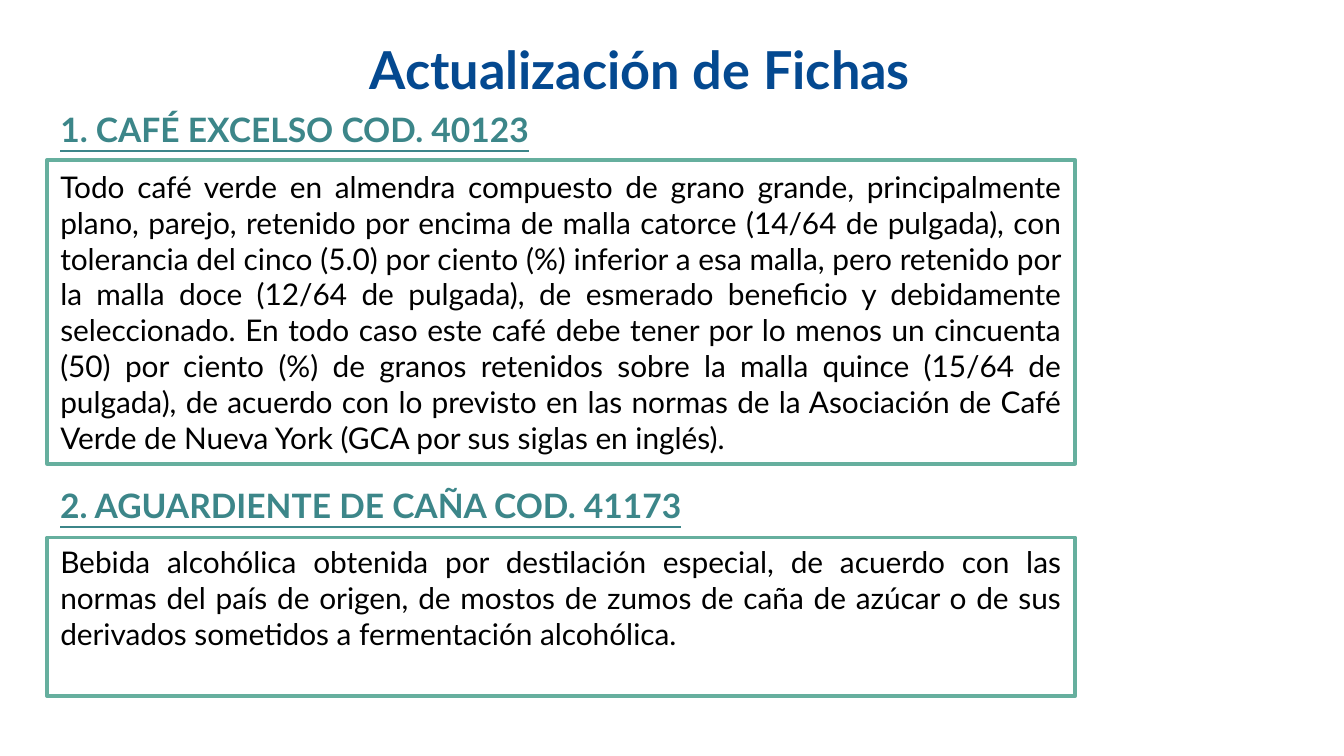
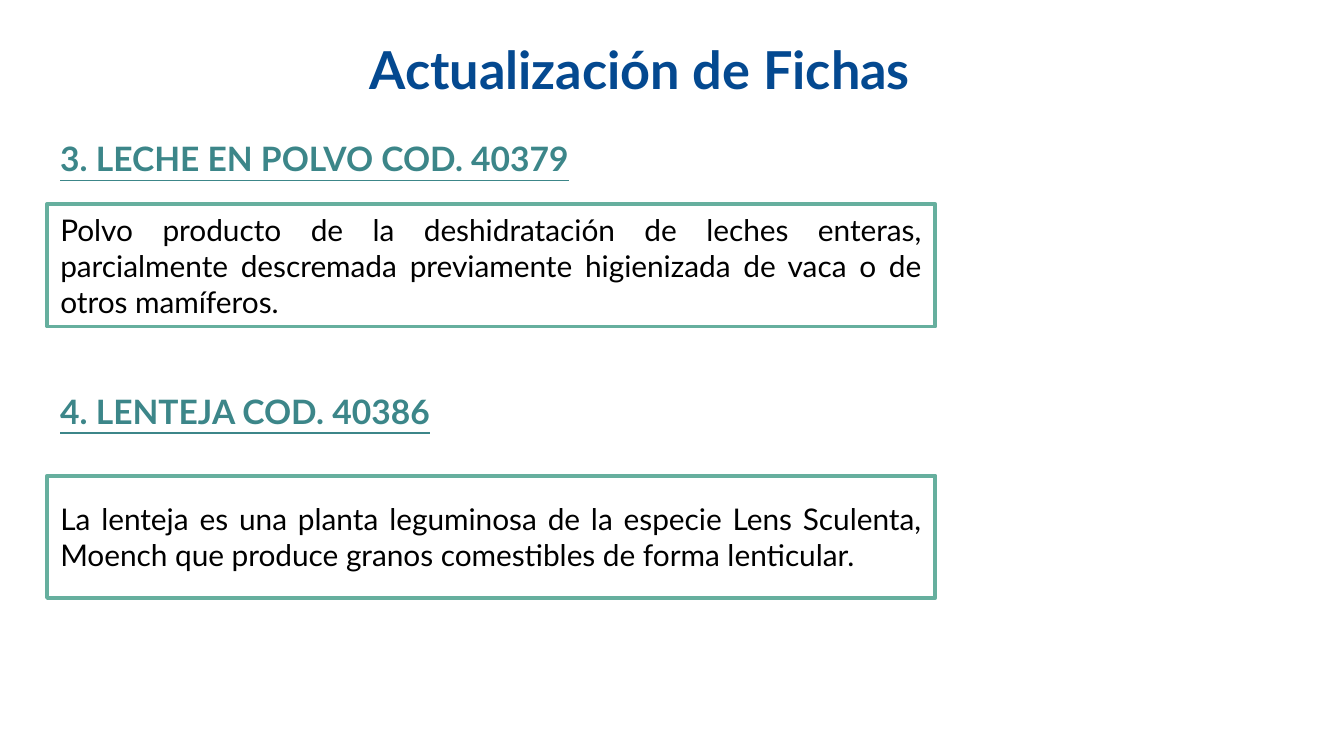
from dataclasses import dataclass

from pptx import Presentation
from pptx.dml.color import RGBColor
from pptx.enum.shapes import MSO_SHAPE
from pptx.enum.text import MSO_ANCHOR, MSO_AUTO_SIZE, PP_ALIGN
from pptx.presentation import Presentation as Deck
from pptx.shapes.autoshape import Shape
from pptx.slide import Slide
from pptx.util import Inches, Pt

SLIDE_WIDTH = Inches(10)
SLIDE_HEIGHT = Inches(5.625)
COLUMN = SLIDE_WIDTH / 100
ROW = SLIDE_HEIGHT / 100
CARD_LEFT = 3.5
HEADING_ROWS = 7.64


@dataclass(frozen=True)
class Theme:
    font: str = "Lato"
    title_color: str = "044990"
    heading_color: str = "3C8689"
    body_color: str = "000000"
    border_color: str = "66AF9E"
    card_fill: str = "FFFFFF"
    title_size: int = 28
    heading_size: int = 18
    body_size: int = 16
    border_width: int = 2


@dataclass(frozen=True)
class Area:
    left: float
    top: float
    width: float
    height: float

    def lengths(self) -> tuple[int, int, int, int]:
        return (round(self.left * COLUMN), round(self.top * ROW),
                round(self.width * COLUMN), round(self.height * ROW))


@dataclass(frozen=True)
class Product:
    heading: str
    heading_top: float
    heading_width: float
    description: str
    card_top: float
    card_height: float
    anchor: MSO_ANCHOR = MSO_ANCHOR.MIDDLE


@dataclass(frozen=True)
class Page:
    card_width: float
    products: tuple[Product, ...]


THEME = Theme()
TITLE = "Actualización de Fichas"
TITLE_AREA = Area(2.1, 4.09, 90, 6.22)

PAGES = (
    Page(76.5, (
        Product(
            "1. CAFÉ EXCELSO COD. 40123", 12.44, 39.9,
            "Todo café verde en almendra compuesto de grano grande, principalmente plano, "
            "parejo, retenido por encima de malla catorce (14/64 de pulgada), con tolerancia "
            "del cinco (5.0) por ciento (%) inferior a esa malla, pero retenido por la malla "
            "doce (12/64 de pulgada), de esmerado beneficio y debidamente seleccionado. En "
            "todo caso este café debe tener por lo menos un cincuenta (50) por ciento (%) de "
            "granos retenidos sobre la malla quince (15/64 de pulgada), de acuerdo con lo "
            "previsto en las normas de la Asociación de Café Verde de Nueva York (GCA por sus "
            "siglas en inglés).",
            21.16, 40.18),
        Product(
            "2. AGUARDIENTE DE CAÑA COD. 41173", 62.22, 50.6,
            "Bebida alcohólica obtenida por destilación especial, de acuerdo con las normas "
            "del país de origen, de mostos de zumos de caña de azúcar o de sus derivados "
            "sometidos a fermentación alcohólica.",
            71.11, 20.98, MSO_ANCHOR.TOP),
    )),
    Page(66.1, (
        Product(
            "3. LECHE EN POLVO COD. 40379", 16.36, 42.4,
            "Polvo producto de la deshidratación de leches enteras, parcialmente descremada "
            "previamente higienizada de vaca o de otros mamíferos.",
            27.02, 16.18),
        Product(
            "4. LENTEJA COD. 40386", 49.78, 31.7,
            "La lenteja es una planta leguminosa de la especie Lens Sculenta, Moench que "
            "produce granos comestibles de forma lenticular.",
            62.93, 16.18),
    )),
)


def write_text(box: Shape, text: str, *, size: int, color: str,
               align: PP_ALIGN = PP_ALIGN.LEFT, anchor: MSO_ANCHOR = MSO_ANCHOR.TOP,
               bold: bool = False, underline: bool = False, grow: bool = True,
               line_spacing: float = 1.0, margin: float = 0, indent: float = 0) -> None:
    frame = box.text_frame
    frame.word_wrap = True
    frame.auto_size = MSO_AUTO_SIZE.SHAPE_TO_FIT_TEXT if grow else MSO_AUTO_SIZE.NONE
    frame.vertical_anchor = anchor
    para = frame.paragraphs[0]
    para.alignment = align
    para.line_spacing = line_spacing
    properties = para._p.get_or_add_pPr()
    properties.set("marL", str(Inches(margin)))
    properties.set("indent", str(Inches(indent)))
    span = para.add_run()
    span.text = text
    span.font.name = THEME.font
    span.font.size = Pt(size)
    span.font.bold = bold
    span.font.underline = underline
    span.font.color.rgb = RGBColor.from_string(color)


def draw_title(slide: Slide) -> None:
    box = slide.shapes.add_textbox(*TITLE_AREA.lengths())
    write_text(box, TITLE, size=THEME.title_size, color=THEME.title_color,
               align=PP_ALIGN.CENTER, bold=True, grow=False, margin=0.1)


def draw_product(slide: Slide, product: Product, card_width: float) -> None:
    heading_area = Area(CARD_LEFT, product.heading_top, product.heading_width, HEADING_ROWS)
    heading = slide.shapes.add_textbox(*heading_area.lengths())
    write_text(heading, product.heading, size=THEME.heading_size, color=THEME.heading_color,
               bold=True, underline=True, line_spacing=1.2, margin=0.38, indent=-0.38)

    card_area = Area(CARD_LEFT, product.card_top, card_width, product.card_height)
    card = slide.shapes.add_shape(MSO_SHAPE.RECTANGLE, *card_area.lengths())
    card.shadow.inherit = False
    card.fill.solid()
    card.fill.fore_color.rgb = RGBColor.from_string(THEME.card_fill)
    card.line.color.rgb = RGBColor.from_string(THEME.border_color)
    card.line.width = Pt(THEME.border_width)
    write_text(card, product.description, size=THEME.body_size, color=THEME.body_color,
               align=PP_ALIGN.JUSTIFY, anchor=product.anchor)


def draw_page(deck: Deck, page: Page) -> None:
    slide = deck.slides.add_slide(deck.slide_layouts[6])
    draw_title(slide)
    for product in page.products:
        draw_product(slide, product, page.card_width)


def main() -> None:
    deck = Presentation()
    deck.slide_width = SLIDE_WIDTH
    deck.slide_height = SLIDE_HEIGHT
    for page in PAGES:
        draw_page(deck, page)
    deck.save("out.pptx")


if __name__ == "__main__":
    main()
